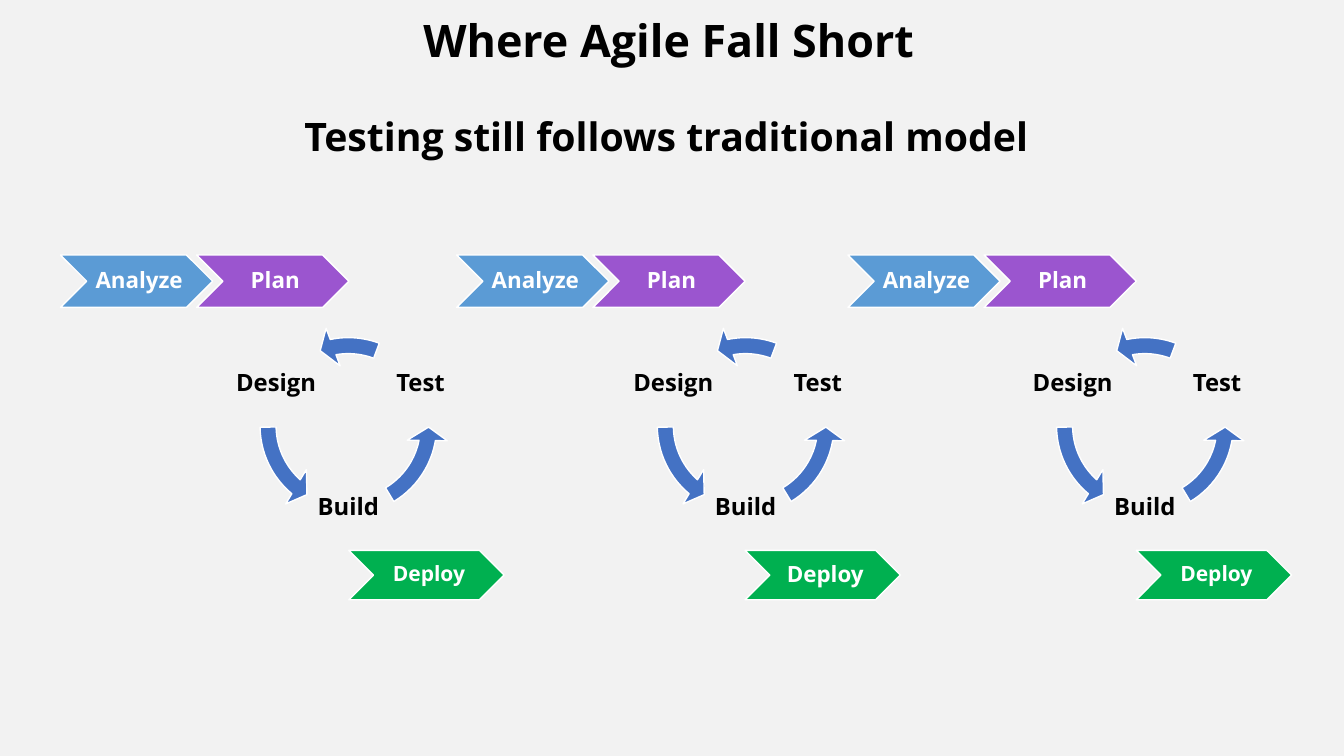
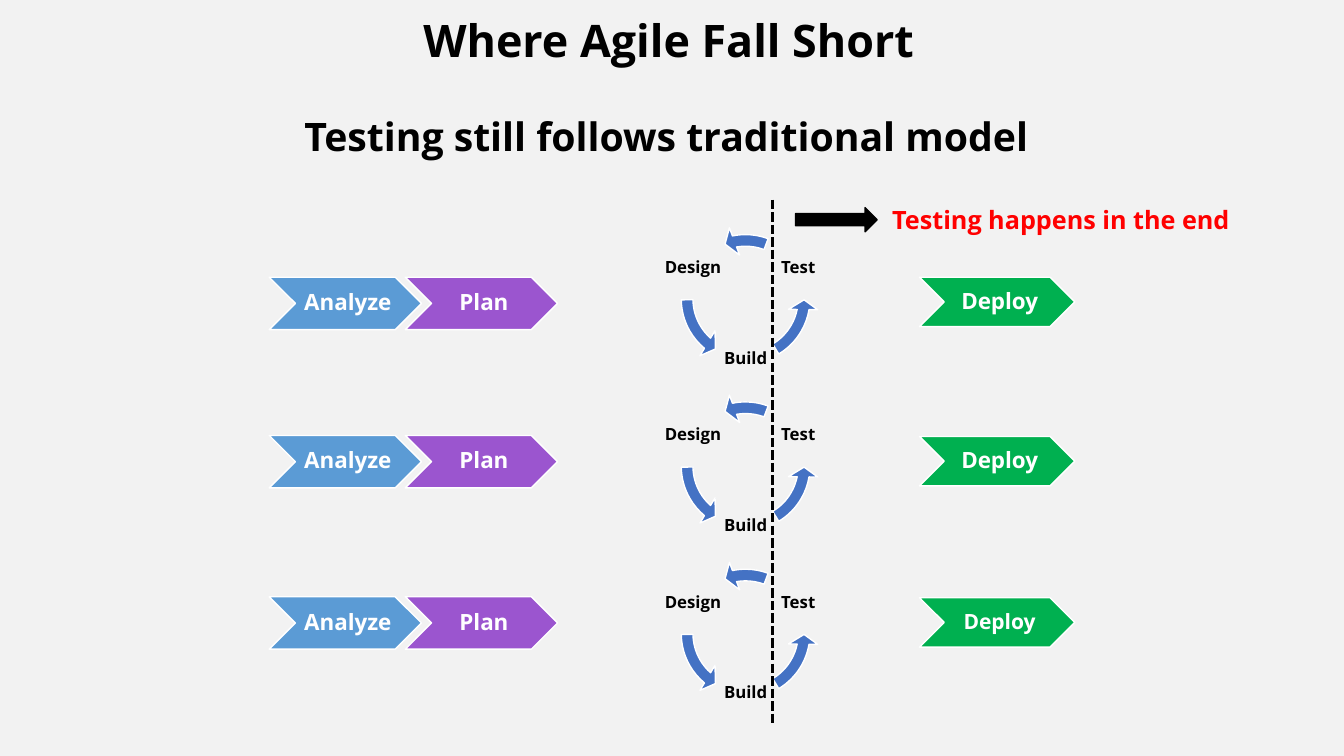
from dataclasses import dataclass

from lxml.etree import SubElement
from pptx import Presentation
from pptx.dml.color import RGBColor
from pptx.enum.dml import MSO_LINE
from pptx.enum.shapes import MSO_CONNECTOR, MSO_SHAPE
from pptx.enum.text import MSO_ANCHOR as Anchor
from pptx.enum.text import MSO_AUTO_SIZE as AutoSize
from pptx.enum.text import PP_ALIGN as Align
from pptx.oxml.ns import qn
from pptx.util import Inches, Pt


@dataclass(frozen=True)
class Theme:
    font: str = "Open Sans"
    # Colours
    paper: str = "F2F2F2"
    ink: str = "000000"
    white: str = "FFFFFF"
    analyze: str = "5B9BD5"
    plan: str = "9B55CF"
    deploy: str = "00B050"
    arrow: str = "4472C4"
    warning: str = "FF0000"
    # Type sizes
    title: int = 32
    subtitle: int = 28
    note: int = 18
    step: int = 16
    small_step: int = 15
    cycle: int = 17
    small_cycle: int = 12


THEME = Theme()
PLAN_OFFSET = 1.35
ROW_STEP = 1.66
LABEL_SIZE = 0.42  # share of the ring
# Label and its centre, then end and start of the arrow that leaves it
CYCLE = (
    ("Design", 0.14, 0.29, 78.39, 107.47),
    ("Build", 0.5, 0.91, 6.3, 35.4),
    ("Test", 0.86, 0.29, 155.45, 174.32),
)


def colour(value):
    return RGBColor.from_string(value)


class SlideBuilder:
    def __init__(self, deck, theme):
        self.deck, self.theme = deck, theme
        self.page = None

    def new_page(self):
        self.page = self.deck.slides.add_slide(self.deck.slide_layouts[6])
        fill = self.page.background.fill
        fill.solid()
        fill.fore_color.rgb = colour(self.theme.paper)

    def add_span(self, frame, words, size, ink):
        para = frame.paragraphs[0]
        span = para.add_run()
        span.text = words
        span.font.name = self.theme.font
        span.font.size = Pt(size)
        span.font.bold = True
        span.font.color.rgb = colour(ink)
        return para

    def add_centred(self, frame, words, size, ink, left_inset=0.02):
        frame.word_wrap = True
        frame.vertical_anchor = Anchor.MIDDLE
        frame.margin_left = Inches(left_inset)
        frame.margin_top = frame.margin_right = frame.margin_bottom = Inches(0.02)
        para = self.add_span(frame, words, size, ink)
        para.alignment = Align.CENTER
        para.line_spacing = 0.9

    def text(self, place, words, size, ink, wrap=False):
        box = self.page.shapes.add_textbox(*map(Inches, place))
        box.text_frame.word_wrap = wrap
        box.text_frame.auto_size = AutoSize.SHAPE_TO_FIT_TEXT
        self.add_span(box.text_frame, words, size, ink)

    def headings(self):
        self.text((4.1, 0.08, 5.13, 0.64), "Where Agile Fall Short",
                  self.theme.title, self.theme.ink)
        self.text((2.92, 1.07, 7.49, 0.57), "Testing still follows traditional model",
                  self.theme.subtitle, self.theme.ink)

    def shape(self, preset, place, fill, outline):
        shape = self.page.shapes.add_shape(preset, *map(Inches, place))
        shape.shadow.inherit = False
        shape.fill.solid()
        shape.fill.fore_color.rgb = colour(fill)
        shape.line.color.rgb = colour(outline)
        shape.line.width = Pt(1)
        return shape

    def chevron(self, place, words, fill, size):
        step = self.shape(MSO_SHAPE.CHEVRON, place, fill, self.theme.white)
        self.add_centred(step.text_frame, words, size, self.theme.white, 0.07)

    def planning(self, left, top):
        steps = (("Analyze", self.theme.analyze), ("Plan", self.theme.plan))
        for index, (words, fill) in enumerate(steps):
            place = (left + index * PLAN_OFFSET, top, 1.51, 0.52)
            self.chevron(place, words, fill, self.theme.step)

    def deploy(self, left, top, size):
        self.chevron((left, top, 1.54, 0.49), "Deploy", self.theme.deploy, size)

    def cycle(self, left, top, ring, size):
        side = ring * LABEL_SIZE
        for words, x, y, end, start in CYCLE:
            place = (left + x * ring - side / 2, top + y * ring - side / 2, side, side)
            label = self.page.shapes.add_textbox(*map(Inches, place))
            self.add_centred(label.text_frame, words, size, self.theme.ink)
            arrow = self.shape(MSO_SHAPE.LEFT_CIRCULAR_ARROW, (left, top, ring, ring),
                               self.theme.arrow, self.theme.white)
            for index, value in enumerate((0.08, 5.77, end, start, 0.1)):
                arrow.adjustments[index] = value

    def dashed_line(self, x, top, bottom):
        line = self.page.shapes.add_connector(
            MSO_CONNECTOR.STRAIGHT, *map(Inches, (x, top, x, bottom)))
        line.line.color.rgb = colour(self.theme.ink)
        line.line.width = Pt(2.25)
        line.line.dash_style = MSO_LINE.SQUARE_DOT
        SubElement(line._element.spPr, qn("a:effectLst"))


def sprints_in_sequence(builder):
    theme = builder.theme
    builder.new_page()
    builder.headings()
    # One column per sprint
    columns = (
        (0.6, 2.46, theme.small_step),
        (4.53, 6.4, theme.step),
        (8.41, 10.36, theme.small_step),
    )
    for left, ring_left, deploy_size in columns:
        builder.cycle(ring_left, 3.23, 1.99, theme.cycle)
        builder.planning(left, 2.53)
        builder.deploy(left + 2.86, 5.46, deploy_size)


def testing_at_the_end(builder):
    theme = builder.theme
    builder.new_page()
    builder.headings()
    # One row per sprint
    rows = (
        (2.75, 2.75, theme.step),
        (4.32, 4.33, theme.step),
        (5.92, 5.93, theme.small_step),
    )
    for index, (top, deploy_top, deploy_size) in enumerate(rows):
        builder.cycle(6.67, 2.24 + index * ROW_STEP, 1.45, theme.small_cycle)
        builder.planning(2.67, top)
        builder.deploy(9.12, deploy_top, deploy_size)
    # Divider and its message
    builder.dashed_line(7.66, 1.98, 7.18)
    builder.text((8.75, 1.98, 3.57, 0.4), "Testing happens in the end",
                 theme.note, theme.warning, wrap=True)
    builder.shape(MSO_SHAPE.RIGHT_ARROW, (7.89, 2.06, 0.81, 0.24), theme.ink, theme.ink)


def main():
    deck = Presentation()
    deck.slide_width, deck.slide_height = Inches(13.33), Inches(7.5)
    builder = SlideBuilder(deck, THEME)
    sprints_in_sequence(builder)
    testing_at_the_end(builder)
    deck.save("out.pptx")


if __name__ == "__main__":
    main()
